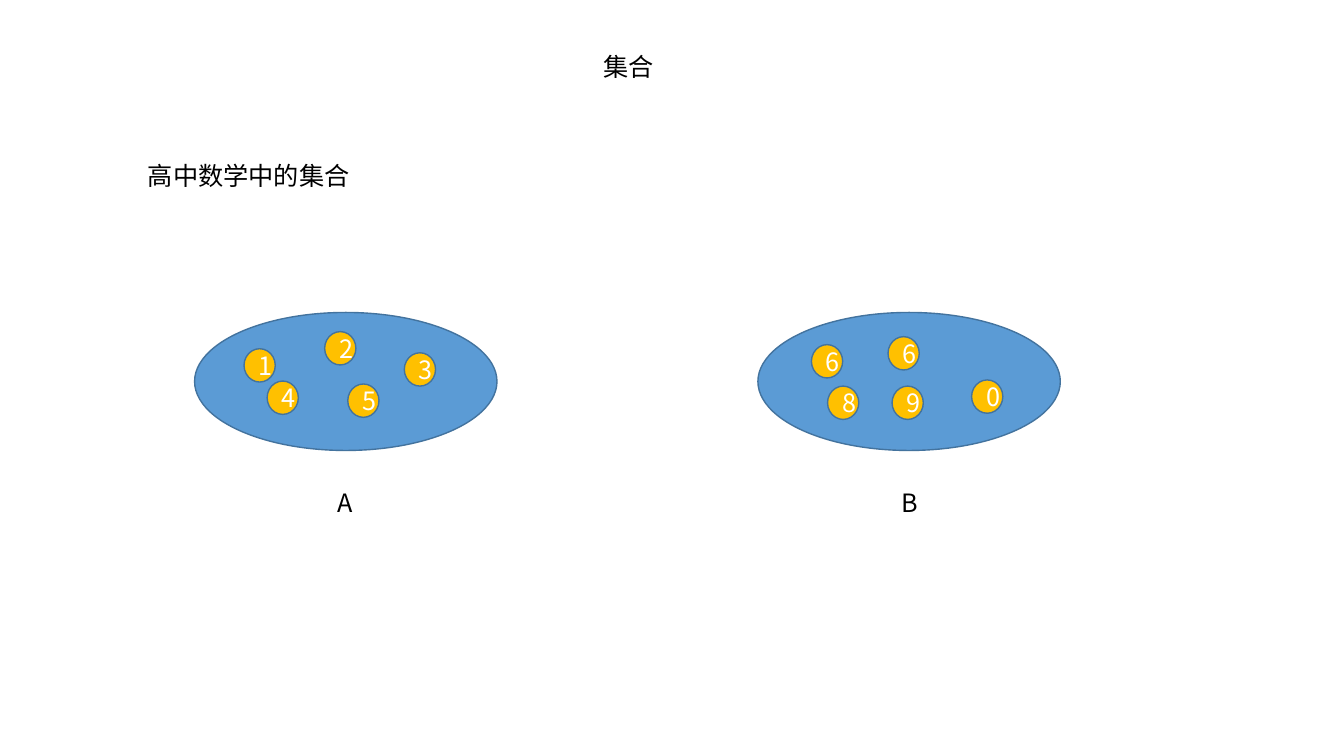
from lxml.etree import SubElement
from pptx import Presentation
from pptx.dml.color import RGBColor
from pptx.enum.shapes import MSO_SHAPE
from pptx.enum.text import MSO_ANCHOR, MSO_AUTO_SIZE, PP_ALIGN
from pptx.oxml.ns import qn
from pptx.util import Pt

SETS = [
    ("A", 139, 26, [("1", 35.3, 25.9), ("3", 149.8, 28.8), ("2", 92.9, 13.7),
                    ("4", 51.8, 49), ("5", 109.4, 51.1)]),
    ("B", 541.4, 24.5, [("6", 38.2, 23), ("8", 49.7, 52.6), ("6", 92.9, 17.3),
                        ("0", 152.6, 48.2), ("9", 95.8, 52.6)]),
]
TOP, WIDE, HIGH = 223.2, 216, 98.6
LABEL_TOP, LINE = 344.2, 29


def paint(part, hue):
    part.solid()
    part.fore_color.rgb = RGBColor.from_string(hue)


def write(shape, text, hue="000000", align=PP_ALIGN.LEFT,
          anchor=MSO_ANCHOR.TOP, wrap=True, fit=MSO_AUTO_SIZE.NONE,
          size=18, face="Noto Sans CJK SC"):
    frame = shape.text_frame
    frame.word_wrap = wrap
    frame.auto_size = fit
    frame.vertical_anchor = anchor
    para = frame.paragraphs[0]
    para.alignment = align
    run = para.add_run()
    run.text = text
    run.font.size = Pt(size)
    run.font.name = face
    paint(run.font.fill, hue)
    SubElement(run.font._element, qn("a:ea"), typeface=face)


class Board:
    """Draws number sets on one slide in a shared style."""

    def __init__(self, deck):
        self.blue, self.gold = "5B9BD5", "FFC000"
        self.edge, self.pale = "43739E", "FFFFFF"
        self.slide = deck.slides.add_slide(deck.slide_layouts[5])
        paint(self.slide.background.fill, self.pale)

    def title(self, text, x, y, w, h):
        head = self.slide.shapes.title
        head.left, head.top, head.width, head.height = map(Pt, (x, y, w, h))
        write(head, text, fit=MSO_AUTO_SIZE.SHAPE_TO_FIT_TEXT)

    def label(self, text, x, y, w, h, home=None):
        home = home or self.slide
        box = home.shapes.add_textbox(*map(Pt, (x, y, w, h)))
        write(box, text, wrap=False, fit=MSO_AUTO_SIZE.SHAPE_TO_FIT_TEXT)

    def oval(self, home, kind, fill, x, y, w, h):
        shape = home.shapes.add_shape(kind, *map(Pt, (x, y, w, h)))
        shape.shadow.inherit = False
        paint(shape.fill, fill)
        paint(shape.line.fill, self.edge)
        shape.line.width = Pt(1)
        return shape

    def ball(self, home, text, x, y):
        shape = self.oval(home, MSO_SHAPE.FLOWCHART_CONNECTOR, self.gold,
                          x, y, 22.3, 23.8)
        write(shape, text, hue=self.pale, align=PP_ALIGN.CENTER,
              anchor=MSO_ANCHOR.MIDDLE)

    def group(self, name, left, width, balls):
        home = self.slide.shapes.add_group_shape()
        self.oval(home, MSO_SHAPE.OVAL, self.blue, left, TOP, WIDE, HIGH)
        self.label(name, left + (WIDE - width) / 2, LABEL_TOP, width, LINE,
                   home)
        for text, x, y in balls:
            self.ball(home, text, left + x, TOP + y)


def main():
    deck = Presentation()
    deck.slide_width, deck.slide_height = Pt(960), Pt(540)
    board = Board(deck)
    board.title("集合", 424, 33.1, 57.6, LINE)
    board.label("高中数学中的集合", 98.6, 110.9, 160, LINE)
    for item in SETS:
        board.group(*item)
    deck.save("out.pptx")


if __name__ == "__main__":
    main()
